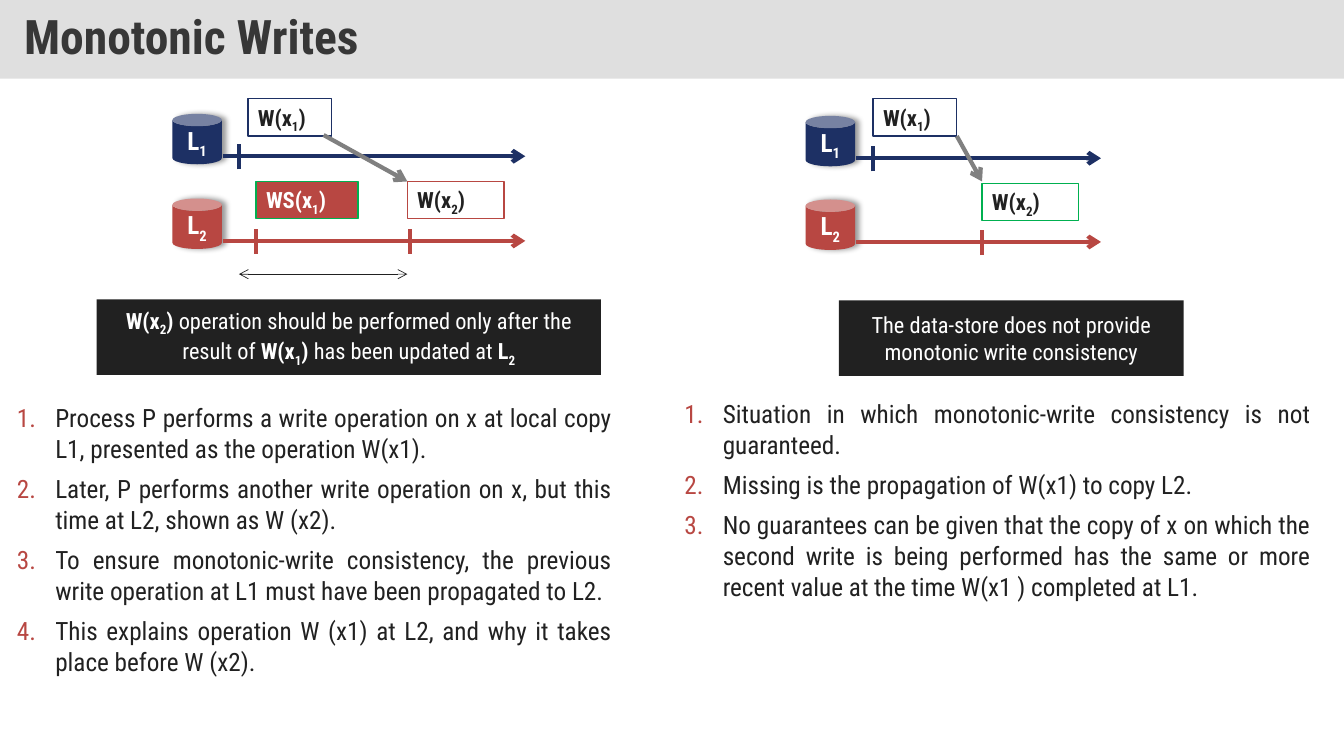
from dataclasses import dataclass

from lxml import etree
from pptx import Presentation
from pptx.dml.color import RGBColor
from pptx.enum.shapes import MSO_CONNECTOR, MSO_SHAPE
from pptx.enum.text import MSO_ANCHOR, PP_ALIGN
from pptx.oxml.ns import qn
from pptx.util import Inches, Pt

RECTANGLE, CAN = MSO_SHAPE.RECTANGLE, MSO_SHAPE.CAN
STRAIGHT = MSO_CONNECTOR.STRAIGHT
TOP, MIDDLE = MSO_ANCHOR.TOP, MSO_ANCHOR.MIDDLE
LEFT, CENTER, JUSTIFY = PP_ALIGN.LEFT, PP_ALIGN.CENTER, PP_ALIGN.JUSTIFY


@dataclass(frozen=True)
class Theme:
    font: str = "Roboto Condensed"
    navy: str = "1D3064"
    red: str = "B84742"
    green: str = "00B050"
    ink: str = "212121"
    white: str = "FFFFFF"
    grey: str = "808080"
    title_band: str = "C0C0C0"
    title_ink: str = "373737"
    title_size: int = 34
    body_size: int = 18
    label_size: int = 16


THEME = Theme()


@dataclass(frozen=True)
class Span:
    """Text whose parts between bars alternate between normal and subscript."""
    text: str
    bold: bool = True


@dataclass(frozen=True)
class Replica:
    name: str
    color: str
    left: float
    axis_y: float
    axis_end: float
    ticks: tuple[float, ...]


@dataclass(frozen=True)
class Operation:
    name: str
    left: float
    top: float
    width: float
    border: str
    fill: str = THEME.white
    ink: str = THEME.ink


@dataclass(frozen=True)
class Arrow:
    start: tuple[float, float]
    end: tuple[float, float]
    color: str
    width: float = 3
    ends: tuple[str, ...] = ("tailEnd",)


@dataclass(frozen=True)
class Banner:
    left: float
    top: float
    width: float
    spans: tuple[Span, ...]


@dataclass(frozen=True)
class NumberedList:
    left: float
    top: float
    width: float
    items: tuple[str, ...]


REPLICAS = (
    Replica("L|1", THEME.navy, 1.71, 1.55, 5.21, (2.37,)),
    Replica("L|2", THEME.red, 1.71, 2.39, 5.21, (2.54, 4.07)),
    Replica("L|1", THEME.navy, 7.99, 1.57, 10.92, (8.66,)),
    Replica("L|2", THEME.red, 7.99, 2.4, 10.92, (9.74,)),
)
OPERATIONS = (
    Operation("WS(x|1|)", 2.54, 1.8, 1.01, THEME.green, THEME.red, THEME.white),
    Operation("W(x|2|)", 4.04, 1.8, 0.96, THEME.red),
    Operation("W(x|1|)", 2.46, 0.98, 0.83, THEME.navy),
    Operation("W(x|2|)", 9.74, 1.82, 0.96, THEME.green),
    Operation("W(x|1|)", 8.66, 0.98, 0.83, THEME.navy),
)
ARROWS = (
    Arrow((2.37, 2.72), (4.04, 2.72), THEME.ink, 0.5, ("headEnd", "tailEnd")),
    Arrow((3.21, 1.34), (4.04, 1.8), THEME.grey),
    Arrow((9.49, 1.35), (9.74, 1.8), THEME.grey),
)
BANNERS = (
    Banner(0.96, 2.97, 5, (
        Span("W(x|2|)"),
        Span(" operation should be performed only after the result of ", False),
        Span("W(x|1|)"),
        Span(" has been updated at ", False),
        Span("L|2"),
    )),
    Banner(8.32, 2.98, 3.42, (
        Span("The data-store does not provide monotonic write consistency", False),
    )),
)
LISTS = (
    NumberedList(0.07, 3.93, 6.1, (
        "Process P performs a write operation on x at local copy L1, presented as the operation W(x1).",
        "Later, P performs another write operation on x, but this time at L2, shown as W (x2).",
        "To ensure monotonic-write consistency, the previous write operation at L1 must have been propagated to L2.",
        "This explains operation W (x1) at L2, and why it takes place before W (x2).",
    )),
    NumberedList(6.69, 3.89, 6.41, (
        "Situation in which monotonic-write consistency is not guaranteed.",
        "Missing is the propagation of W(x1) to copy L2.",
        "No guarantees can be given that the copy of x on which the second write is being performed "
        "has the same or more recent value at the time W(x1 ) completed at L1.",
    )),
)


def set_all(target, values: dict) -> None:
    for name, value in values.items():
        setattr(target, name, value)


def add_color(parent, color: str):
    return etree.SubElement(parent, qn("a:srgbClr"), val=color)


def write_spans(para, spans: tuple[Span, ...], size: int, color: str) -> None:
    for part in spans:
        for index, text in enumerate(part.text.split("|")):
            if not text:
                continue
            span = para.add_run()
            span.text = text
            set_all(span.font, {"name": THEME.font, "size": Pt(size), "bold": part.bold})
            span.font.color.rgb = RGBColor.from_string(color)
            if index % 2:
                span._r.get_or_add_rPr().set("baseline", "-25000")


def add_box(page, kind, area: tuple, fill: str, spans: tuple[Span, ...], size: int,
            ink: str, border: str = "", align=CENTER, anchor=MIDDLE):
    box = page.shapes.add_shape(kind, *map(Inches, area))
    box.shadow.inherit = False
    box.fill.solid()
    box.fill.fore_color.rgb = RGBColor.from_string(fill)
    if border:
        box.line.color.rgb = RGBColor.from_string(border)
        box.line.width = Pt(1)
    else:
        box.line.fill.background()
    set_all(box.text_frame, {"word_wrap": True, "vertical_anchor": anchor})
    para = box.text_frame.paragraphs[0]
    para.alignment = align
    write_spans(para, spans, size, ink)
    return box


def add_arrow(page, arrow: Arrow) -> None:
    line = page.shapes.add_connector(STRAIGHT, *map(Inches, arrow.start + arrow.end))
    line.line.color.rgb = RGBColor.from_string(arrow.color)
    line.line.width = Pt(arrow.width)
    for end in arrow.ends:
        etree.SubElement(line.line._get_or_add_ln(), qn(f"a:{end}"), type="arrow")
    etree.SubElement(line._element.spPr, qn("a:effectLst"))


def add_title(page) -> None:
    box = add_box(page, RECTANGLE, (0, 0, 13.33, 0.78), THEME.title_band,
                  (Span("Monotonic Writes"),), THEME.title_size, THEME.title_ink, align=LEFT)
    color = box._element.spPr.find(qn("a:solidFill"))[0]
    etree.SubElement(color, qn("a:alpha"), val="50000")
    set_all(box.text_frame, {"margin_left": Inches(0.24), "margin_right": Inches(0.24),
                             "margin_top": Inches(0.12), "margin_bottom": Inches(0.12)})
    box.text_frame.paragraphs[0].line_spacing = 0.9


def add_replica(page, replica: Replica) -> None:
    """Draw a data store, its time axis and the ticks on the axis."""
    y = replica.axis_y
    can = add_box(page, CAN, (replica.left, y - 0.42, 0.49, 0.5), replica.color,
                  (Span(replica.name),), THEME.body_size, THEME.white)
    effects = can._element.spPr.find(qn("a:effectLst"))
    shadow = etree.SubElement(effects, qn("a:outerShdw"), blurRad=str(Pt(4)),
                              dist=str(Pt(3)), dir="0", algn="l", rotWithShape="0")
    etree.SubElement(add_color(shadow, "000000"), qn("a:alpha"), val="40000")
    add_arrow(page, Arrow((replica.left + 0.5, y), (replica.axis_end, y), replica.color))
    for x in replica.ticks:
        add_arrow(page, Arrow((x, y + 0.13), (x, y - 0.12), replica.color, ends=()))


def add_list(page, numbered: NumberedList) -> None:
    area = (numbered.left, numbered.top, numbered.width, 2.84)
    frame = page.shapes.add_textbox(*map(Inches, area)).text_frame
    frame.word_wrap = True
    for index, item in enumerate(numbered.items):
        para = frame.add_paragraph() if index else frame.paragraphs[0]
        properties = para._p.get_or_add_pPr()
        properties.set("marL", str(Inches(0.38)))
        properties.set("indent", str(-Inches(0.38)))
        add_color(etree.SubElement(properties, qn("a:buClr")), THEME.red)
        etree.SubElement(properties, qn("a:buAutoNum"), type="arabicPeriod")
        set_all(para, {"alignment": JUSTIFY, "line_spacing": 1.04,
                       "space_before": Pt(5.8 if index else 0)})
        write_spans(para, (Span(item, False),), THEME.body_size, THEME.ink)


def main() -> None:
    deck = Presentation()
    set_all(deck, {"slide_width": Inches(13.33), "slide_height": Inches(7.5)})
    page = deck.slides.add_slide(deck.slide_layouts[6])
    add_title(page)
    for replica in REPLICAS:
        add_replica(page, replica)
    for step in OPERATIONS:
        add_box(page, RECTANGLE, (step.left, step.top, step.width, 0.37), step.fill,
                (Span(step.name),), THEME.label_size, step.ink, step.border, LEFT, TOP)
    for banner in BANNERS:
        add_box(page, RECTANGLE, (banner.left, banner.top, banner.width, 0.75), THEME.ink,
                banner.spans, THEME.label_size, THEME.white)
    for arrow in ARROWS:
        add_arrow(page, arrow)
    for numbered in LISTS:
        add_list(page, numbered)
    deck.save("out.pptx")


if __name__ == "__main__":
    main()
